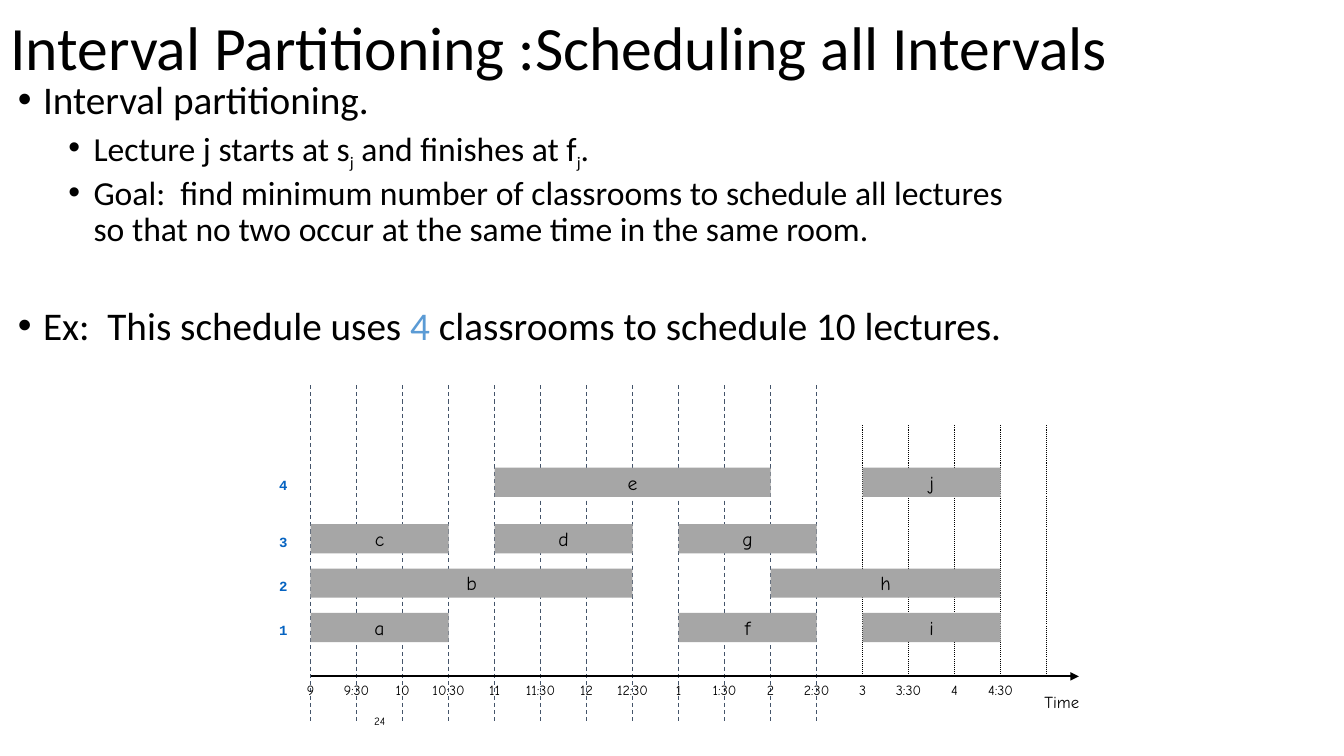
from lxml import etree
from pptx import Presentation
from pptx.dml.color import RGBColor
from pptx.enum.dml import MSO_LINE
from pptx.enum.shapes import MSO_CONNECTOR, MSO_SHAPE
from pptx.enum.text import MSO_ANCHOR, MSO_AUTO_SIZE, PP_ALIGN
from pptx.oxml.ns import qn
from pptx.util import Inches, Pt

SLOTS = 16
DASHED_SLOTS = 12
ROOM_TOPS = {1: 2.26, 2: 1.82, 3: 1.38, 4: 0.82}
BAR_HEIGHT = 0.29
LECTURES = [
    ("a", 1, 0, 3), ("b", 2, 0, 7), ("c", 3, 0, 3), ("d", 3, 4, 7), ("e", 4, 4, 10),
    ("f", 1, 8, 11), ("g", 3, 8, 11), ("h", 2, 10, 15), ("i", 1, 12, 15), ("j", 4, 12, 15),
]
BULLETS = [
    (0, 0, [("Interval partitioning.", "")]),
    (1, 5, [("Lecture j starts at s", ""), ("j", "sub"), (" and finishes at f", ""),
            ("j", "sub"), (".", "")]),
    (1, 5, [("Goal:  find minimum number of classrooms to schedule all lectures\v"
             "so that no two occur at the same time in the same room.", "")]),
    (0, 41, [("Ex:  This schedule uses ", ""), ("4", "accent"),
             (" classrooms to schedule 10 lectures.", "")]),
]


def rgb(hex_color):
    """Turn a hex string into a colour."""
    return RGBColor.from_string(hex_color)


def style(font, size, name, color="000000", bold=False):
    """Set the size, face and colour of a font."""
    font.size, font.name, font.bold = Pt(size), name, bold
    font.color.rgb = rgb(color)


def add_label(slide, text, box, size, name="Comic Neue", align=PP_ALIGN.LEFT, **look):
    """Add a one-line text box."""
    sp = slide.shapes.add_textbox(*map(Inches, box))
    tf = sp.text_frame
    tf.text = text
    tf.word_wrap = False
    p = tf.paragraphs[0]
    p.alignment = align
    style(p.runs[0].font, size, name, **look)
    return sp


def add_line(slide, start, end, color, width, dash=None):
    """Add a straight line without a shadow."""
    line = slide.shapes.add_connector(MSO_CONNECTOR.STRAIGHT, *map(Inches, start + end))
    line.line.color.rgb = rgb(color)
    line.line.width = Pt(width)
    if dash:
        line.line.dash_style = dash
    etree.SubElement(line._element.spPr, qn("a:effectLst"))
    return line


def add_title(slide, box):
    """Fill and place the title placeholder."""
    sp = slide.shapes.title
    sp.left, sp.top, sp.width, sp.height = map(Inches, box)
    tf = sp.text_frame
    tf.text = "Interval Partitioning :Scheduling all Intervals"
    tf.auto_size = MSO_AUTO_SIZE.NONE
    tf.vertical_anchor = MSO_ANCHOR.MIDDLE
    p = tf.paragraphs[0]
    p.alignment, p.line_spacing = PP_ALIGN.LEFT, 0.9
    style(p.runs[0].font, 44, "Calibri")


def add_bullets(slide, box):
    """Add the two-level bullet text."""
    tf = slide.shapes.add_textbox(*map(Inches, box)).text_frame
    tf.word_wrap = True
    for i, (level, before, parts) in enumerate(BULLETS):
        p = tf.add_paragraph() if i else tf.paragraphs[0]
        p.level, p.line_spacing, p.space_before = level, 0.9, Pt(before)
        pPr = p._p.get_or_add_pPr()
        pPr.set("marL", str(Inches(0.25 + 0.5 * level)))
        pPr.set("indent", str(Inches(-0.25)))
        etree.SubElement(pPr, qn("a:buFont"), typeface="Arial")
        etree.SubElement(pPr, qn("a:buChar"), char="•")
        p.text = "".join(text for text, _ in parts) if len(parts) == 1 else ""
        if len(parts) > 1:
            for text, _ in parts:
                p.add_run().text = text
        kinds = [kind for _, kind in parts]
        for r, kind in zip(p.runs, kinds * len(p.runs)):
            size = 20 if kind == "sub" else 28 - 4 * level
            style(r.font, size, "Calibri", "5B9BD5" if kind == "accent" else "000000")
            if kind == "sub":
                r.font._element.set("baseline", "-25000")


def add_grid(slide, left, top, step, axis_y):
    """Add the half-hour lines, their labels and the time axis."""
    for slot in range(SLOTS + 1):
        x = left + slot * step
        if slot < DASHED_SLOTS:
            add_line(slide, (x, top), (x, axis_y + 0.44), "44546A", 0.75, MSO_LINE.DASH)
        else:
            add_line(slide, (x, top + 0.4), (x, axis_y), "000000", 0.75, MSO_LINE.ROUND_DOT)
        if slot < SLOTS:
            hour = (8 + slot // 2) % 12 + 1
            text = f"{hour}:30" if slot % 2 else str(hour)
            add_label(slide, text, (x - 0.28, axis_y, 0.56, 0.27), 10, align=PP_ALIGN.CENTER)
    axis = add_line(slide, (left, axis_y), (left + 7.62, axis_y), "000000", 1.25)
    etree.SubElement(axis.line._get_or_add_ln(), qn("a:tailEnd"), type="triangle")
    add_label(slide, "Time", (left + 7.18, axis_y + 0.1, 0.72, 0.3), 12)


def add_lecture(slide, name, box):
    """Add the bar of one lecture."""
    sp = slide.shapes.add_shape(MSO_SHAPE.RECTANGLE, *map(Inches, box))
    sp.shadow.inherit = False
    sp.fill.solid()
    sp.fill.fore_color.rgb = rgb("A6A6A6")
    sp.line.fill.background()
    tf = sp.text_frame
    tf.text = name
    tf.word_wrap = False
    tf.vertical_anchor = MSO_ANCHOR.MIDDLE
    p = tf.paragraphs[0]
    p.alignment = PP_ALIGN.CENTER
    style(p.runs[0].font, 14, "Comic Neue")


def add_schedule(slide, box):
    """Add the schedule: grid, lecture bars and room numbers."""
    left, top, width, height = box
    step = width / SLOTS
    add_grid(slide, left, top, step, top + height)
    for name, room, start, end in LECTURES:
        bar = (left + start * step, top + ROOM_TOPS[room], (end - start) * step, BAR_HEIGHT)
        add_lecture(slide, name, bar)
    for room, room_top in ROOM_TOPS.items():
        add_label(slide, str(room), (left - 0.41, top + room_top + 0.04, 0.28, 0.27), 10,
                  "Courier New", color="0563C1", bold=True)


def main():
    """Build the slide and save it."""
    prs = Presentation()
    prs.slide_width, prs.slide_height = Inches(13.33), Inches(7.5)
    slide = prs.slides.add_slide(prs.slide_layouts[5])
    add_title(slide, (0, 0, 13.33, 1))
    add_bullets(slide, (0.08, 0.75, 13.13, 6.17))
    add_schedule(slide, (3.08, 3.82, 7.3, 2.89))
    number = add_label(slide, "24", (0.92, 6.95, 3, 0.4), 8, align=PP_ALIGN.RIGHT)
    number.text_frame.vertical_anchor = MSO_ANCHOR.MIDDLE
    prs.save("out.pptx")


if __name__ == "__main__":
    main()
